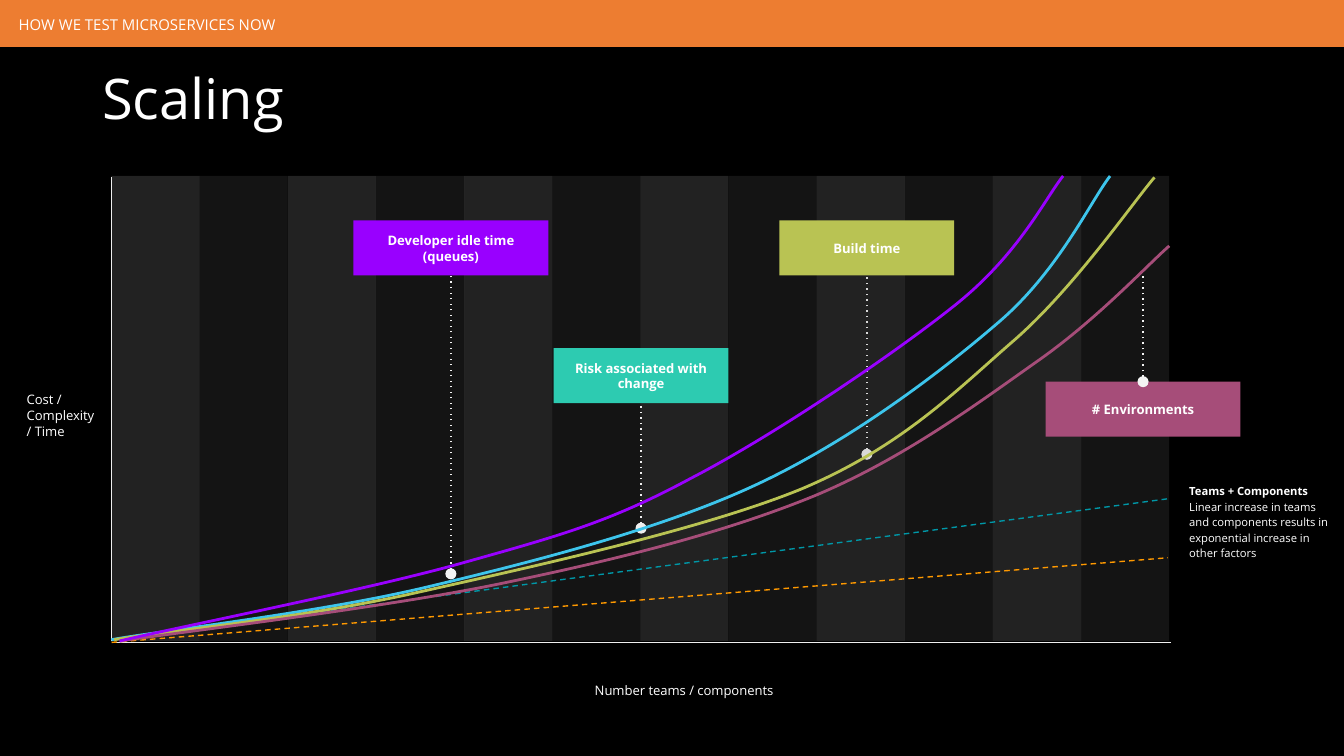
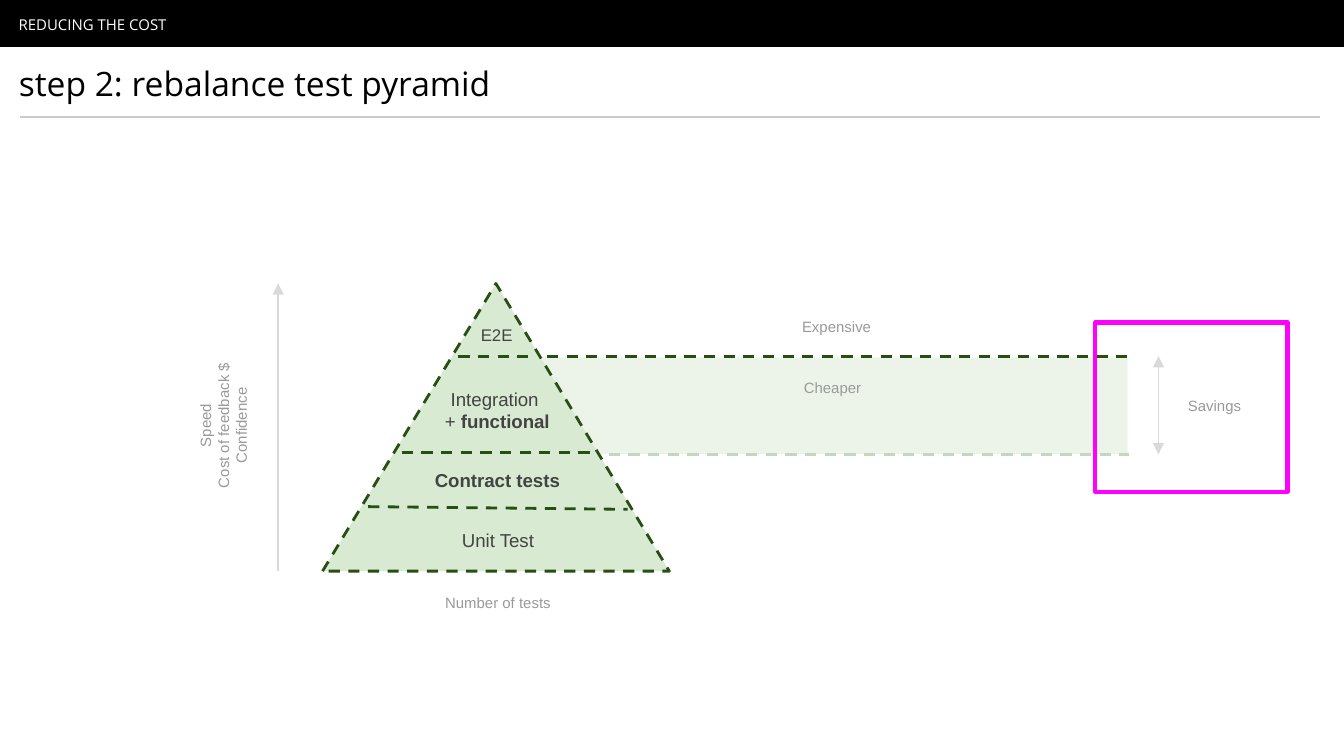
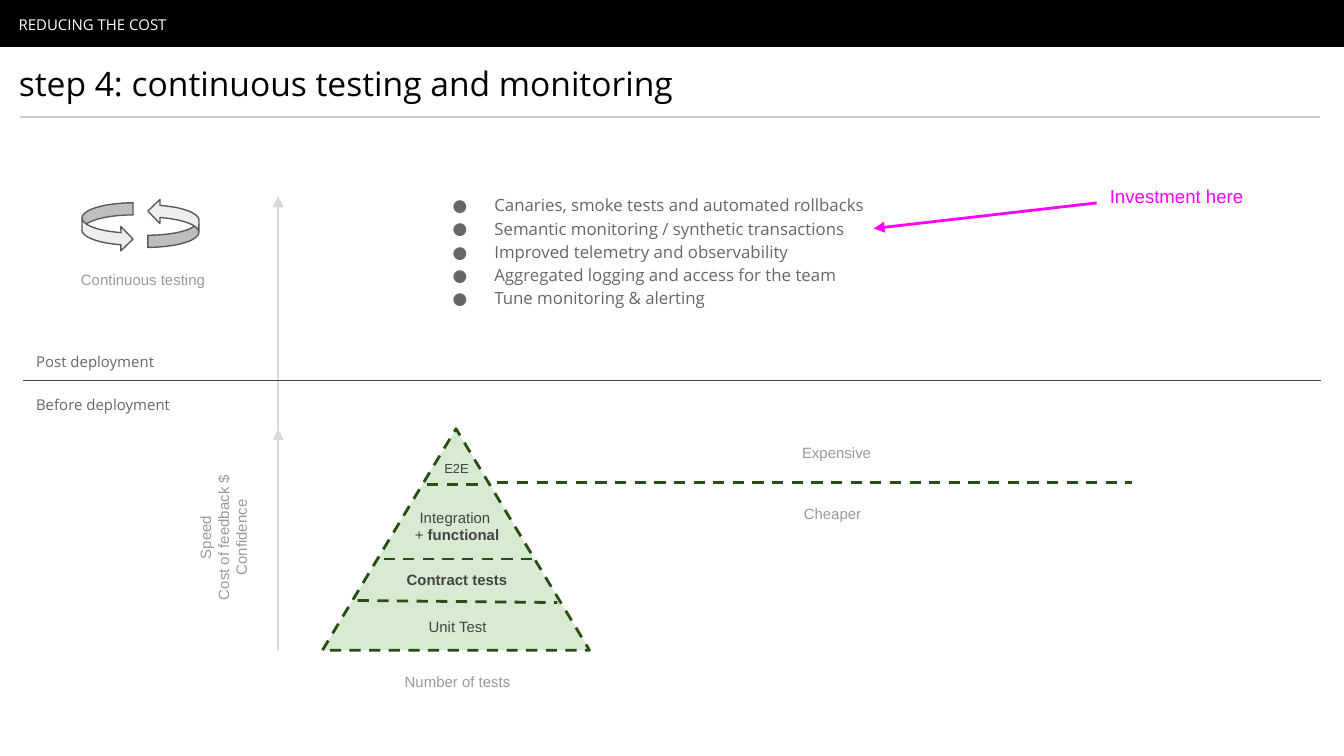
from dataclasses import dataclass
from typing import Optional

from lxml.etree import SubElement
from pptx import Presentation
from pptx.dml.color import RGBColor
from pptx.enum.shapes import MSO_CONNECTOR, MSO_SHAPE
from pptx.enum.text import MSO_ANCHOR, MSO_AUTO_SIZE, PP_ALIGN
from pptx.oxml.ns import qn
from pptx.util import Inches, Pt

Place = tuple[float, float, float, float]
Point = tuple[float, float]

BLACK, WHITE, ORANGE = "000000", "FFFFFF", "ED7D31"
PALE, GREEN, INK = "D9EAD3", "274E13", "434343"
GREY, SLATE, SILVER, PINK = "999999", "666666", "D9D9D9", "FF00FF"
LIME, PLUM, TEAL, PURPLE = "B9C353", "A64D79", "2DCBB1", "9900FF"
SANS, ARIAL = "Open Sans", "Arial"
MIDDLE, TOP = MSO_ANCHOR.MIDDLE, MSO_ANCHOR.TOP
LEFT, CENTER = PP_ALIGN.LEFT, PP_ALIGN.CENTER


@dataclass
class Callout:
    text: str
    at: Place
    fill: str
    side: int
    far: float
    line: str


@dataclass
class Curve:
    color: str
    points: list[Point]


@dataclass
class Layer:
    text: str
    at: Place
    drop: int = 0


CALLOUTS = [
    Callout("*Developer idle time (queues)*", (2.63, 1.64, 1.45, 0.41), PURPLE, 2, 4.27, "F3F3F3"),
    Callout("*Risk associated with change*", (4.12, 2.59, 1.3, 0.41), TEAL, 2, 3.93, "EFEFEF"),
    Callout("*Build time*", (5.8, 1.64, 1.3, 0.41), LIME, 2, 3.38, SILVER),
    Callout("*# Environments*", (7.78, 2.84, 1.45, 0.41), PLUM, 0, 2, "F3F3F3"),
]
CURVES = [
    Curve("3DC5EC", [
        (0.83, 4.76), (1.22, 4.69), (2.37, 4.56), (3.17, 4.37), (3.97, 4.18),
        (4.91, 3.94), (5.62, 3.61), (6.33, 3.28), (7, 2.77), (7.44, 2.39),
        (7.88, 2.01), (8.12, 1.49), (8.26, 1.31)]),
    Curve(LIME, [
        (0.85, 4.76), (1.21, 4.7), (2.16, 4.61), (3.01, 4.43), (3.86, 4.24),
        (5.2, 3.95), (5.96, 3.64), (6.72, 3.32), (7.12, 2.9), (7.56, 2.52),
        (8, 2.13), (8.42, 1.52), (8.59, 1.32)]),
    Curve(PLUM, [
        (0.89, 4.77), (1.37, 4.7), (2.88, 4.52), (3.74, 4.34), (4.61, 4.16),
        (5.4, 3.96), (6.06, 3.69), (6.73, 3.41), (7.29, 2.99), (7.73, 2.68),
        (8.17, 2.37), (8.54, 1.97), (8.7, 1.83)]),
    Curve(PURPLE, [
        (0.89, 4.77), (1.31, 4.67), (2.73, 4.39), (3.44, 4.19), (4.15, 3.99),
        (4.53, 3.89), (5.14, 3.56), (5.76, 3.24), (6.66, 2.63), (7.12, 2.26),
        (7.59, 1.88), (7.78, 1.47), (7.91, 1.31)]),
]
LAYERS = [
    Layer("Unit Test", (0, 1.68, 2.61, 0.46)),
    Layer("*Contract tests*", (0.26, 1.25, 2.08, 0.42)),
    Layer("Integration \n+ *functional*", (0.55, 0.63, 1.5, 0.62)),
    Layer("E2E", (0.74, 0.15, 1.11, 0.46), drop=1),
]
CUTS = [(0.34, 1.66, 2.27, 1.68), (0.59, 1.26, 2.02, 1.26), (1.01, 0.54, 1.57, 0.54)]


def paint(target, color: str, alpha: Optional[int] = None) -> None:
    target.solid()
    target.fore_color.rgb = RGBColor.from_string(color)
    if alpha is not None:
        tint = target._xPr.find(qn("a:solidFill"))[0]
        SubElement(tint, qn("a:alpha"), val=str(alpha * 1000))


def stroke(shape, color: str, width: float = 0.75, dash: str = "",
           head: str = "", tail: str = "") -> None:
    paint(shape.line.fill, color)
    shape.line.width = Pt(width)
    ln = shape.line._get_or_add_ln()
    if dash:
        SubElement(ln, qn("a:prstDash"), val=dash)
    for tag, kind in (("a:headEnd", head), ("a:tailEnd", tail)):
        if kind:
            SubElement(ln, qn(tag), type=kind)


def block(slide, at: Place, fill: str = "", alpha: Optional[int] = None,
          kind=MSO_SHAPE.RECTANGLE):
    shape = slide.shapes.add_shape(kind, *map(Inches, at))
    shape.shadow.inherit = False
    shape.line.fill.background()
    if fill:
        paint(shape.fill, fill, alpha)
    else:
        shape.fill.background()
    return shape


def line(slide, start: Point, end: Point, color: str, **style):
    link = slide.shapes.add_connector(MSO_CONNECTOR.STRAIGHT, *map(Inches, start + end))
    stroke(link, color, **style)
    SubElement(link.element.spPr, qn("a:effectLst"))
    return link


def write(shape, text: str, *, size: float, color: str = WHITE, font: str = SANS,
          align=LEFT, anchor=MIDDLE, pad: float = 0.1, space: float = 1,
          bullet: str = "") -> None:
    frame = shape.text_frame
    frame.word_wrap = True
    frame.auto_size = MSO_AUTO_SIZE.NONE
    frame.vertical_anchor = anchor
    frame.margin_left = frame.margin_right = Inches(0.1)
    frame.margin_top = frame.margin_bottom = Inches(pad)
    for row, words in enumerate(text.split("\n")):
        para = frame.add_paragraph() if row else frame.paragraphs[0]
        if bullet:
            props = para._p.get_or_add_pPr()
            props.set("marL", str(Inches(0.5)))
            props.set("indent", str(Inches(-0.31)))
            SubElement(SubElement(props, qn("a:buClr")), qn("a:srgbClr"), val=color)
            SubElement(props, qn("a:buFont"), typeface=font)
            SubElement(props, qn("a:buChar"), char=bullet)
        para.alignment = align
        para.line_spacing = space
        para.space_before = Pt(0)
        for order, part in enumerate(words.split("*")):
            if part:
                run = para.add_run()
                run.text = part
                run.font.name = font
                run.font.size = Pt(size)
                run.font.bold = order % 2 == 1
                run.font.color.rgb = RGBColor.from_string(color)


def label(slide, text: str, at: Place, **style):
    shape = slide.shapes.add_textbox(*map(Inches, at))
    write(shape, text, **style)
    return shape


def note(slide, text: str, at: Place, align=CENTER):
    return label(slide, text, at, size=8, color=GREY, font=ARIAL, align=align)


def start(deck, band: str, head: str, title: str, at: Place, size: float, back: str, ink: str):
    slide = deck.slides.add_slide(deck.slide_layouts[5])
    paint(slide.background.fill, back)
    block(slide, (0, 0, 10, 0.35), band)
    label(slide, head, (0.04, 0.03, 8.83, 0.28), size=8, space=1.15)
    name = slide.shapes.title
    name.left, name.top, name.width, name.height = map(Inches, at)
    write(name, title, size=size, color=ink, anchor=TOP)
    return slide


def step(deck, title: str):
    slide = start(deck, BLACK, "REDUCING THE COST", title, (0.04, 0.37, 8.73, 0.52), 18, WHITE, BLACK)
    line(slide, (0.15, 0.87), (9.82, 0.87), "CCCCCC")
    return slide


def curve(slide, item: Curve) -> None:
    first, *rest = [(Inches(x), Inches(y)) for x, y in item.points]
    pen = slide.shapes.build_freeform(*first)
    pen.add_line_segments(rest, close=False)
    shape = pen.convert_to_shape()
    shape.shadow.inherit = False
    shape.fill.background()
    stroke(shape, item.color, 1.5)
    route = shape.element.xpath(".//a:path")[0]
    legs = route.findall(qn("a:lnTo"))
    for i in range(0, len(legs), 3):
        bend = SubElement(route, qn("a:cubicBezTo"))
        for leg in legs[i:i + 3]:
            bend.append(leg[0])
            route.remove(leg)


def callout(slide, item: Callout) -> None:
    box = block(slide, item.at, item.fill)
    write(box, item.text, size=7, align=CENTER)
    left, top, width, height = item.at
    mid = left + width / 2
    edge = top + height if item.side == 2 else top
    near, far = (mid, edge), (mid, item.far)
    if item.side == 2:
        link = line(slide, far, near, item.line, dash="dot", head="oval")
        link.end_connect(box, item.side)
    else:
        link = line(slide, near, far, item.line, dash="dot", head="oval")
        link.begin_connect(box, item.side)


def pyramid(slide, top: float, scale: float, size: int, bar: float, edge: float) -> None:
    left, width, height = 2.4, 2.58 * scale, 2.14 * scale
    base = top + height
    shape = block(slide, (left, top, width, height), PALE, kind=MSO_SHAPE.ISOSCELES_TRIANGLE)
    stroke(shape, GREEN, 1.5, "dash")
    for item in LAYERS:
        x, y, w, h = (scale * n for n in item.at)
        label(slide, item.text, (left + x, top + y, w, h), size=size - item.drop,
              color=INK, font=ARIAL, align=CENTER, pad=0.05)
    for cut in CUTS:
        x, y, far, low = (scale * n for n in cut)
        line(slide, (left + x, top + y), (left + far, top + low), GREEN, width=1.5, dash="dash")
    line(slide, (edge, bar), (8.42, bar), GREEN, width=1.5, dash="dash")
    note(slide, "Cheaper", (5.21, bar + 0.09, 1.97, 0.28))
    note(slide, "Expensive", (5.24, bar - 0.36, 1.97, 0.28))
    note(slide, "Number of tests", (left, base + 0.09, 2.61 * scale, 0.28))
    line(slide, (2.07, base), (2.07, top), SILVER, tail="triangle")
    gauge = note(slide, "Speed\nCost of feedback $\nConfidence",
                 (1.66 - height / 2, top + height / 2 - 0.3, height, 0.57))
    gauge.rotation = 270


def scaling(deck) -> None:
    slide = start(deck, ORANGE, "HOW WE TEST MICROSERVICES NOW", "Scaling",
                  (0.66, 0.37, 4.33, 0.61), 30, BLACK, WHITE)
    pitch = 7.87 / 12
    for i in range(12):
        block(slide, (0.83 + i * pitch, 1.31, pitch, 3.46), "CCCCCC", 10 if i % 2 else 17)
    line(slide, (0.83, 1.32), (0.83, 4.77), "EFEFEF")
    line(slide, (0.83, 4.78), (8.71, 4.78), "EFEFEF")
    label(slide, "Cost / Complexity / Time", (0.1, 2.71, 0.75, 0.76), size=7)
    label(slide, "Number teams / components", (4.19, 4.98, 1.8, 0.29), size=7, align=CENTER, anchor=TOP)
    for item in CALLOUTS:
        callout(slide, item)
    line(slide, (0.83, 4.78), (8.69, 4.15), "FF9900", dash="dash")
    line(slide, (0.83, 4.76), (8.7, 3.71), "0097A7", dash="dash")
    for item in CURVES:
        curve(slide, item)
    label(slide, "*Teams + Components*\nLinear increase in teams and components results in "
          "exponential increase in other factors", (8.75, 3.5, 1.25, 0.76), size=6, space=1.15)


def balance(deck) -> None:
    slide = step(deck, "step 2: rebalance test pyramid")
    block(slide, (3.97, 2.66, 4.42, 0.72), PALE, 48)
    pyramid(slide, 2.11, 1, 10, 2.65, 4.07)
    line(slide, (4.53, 3.38), (8.4, 3.38), "C4D6BB", width=1.5, dash="dash")
    line(slide, (8.62, 3.38), (8.62, 2.65), SILVER, head="triangle", tail="triangle")
    note(slide, "Savings", (8.74, 2.88, 1.11, 0.28), LEFT)
    stroke(block(slide, (8.15, 2.4, 1.43, 1.26)), PINK, 2.25)


def monitor(deck) -> None:
    slide = step(deck, "step 4: continuous testing and monitoring")
    line(slide, (2.07, 4.84), (2.07, 1.46), SILVER, tail="triangle")
    pyramid(slide, 3.19, 0.77, 8, 3.59, 3.7)
    line(slide, (0.17, 2.83), (9.83, 2.83), INK)
    for left, top, turn in ((0.61, 1.51, 0), (1.1, 1.48, 180)):
        arrow = block(slide, (left, top, 0.38, 0.36), "EEEEEE", kind=MSO_SHAPE.CURVED_RIGHT_ARROW)
        stroke(arrow, "595959")
        arrow.rotation = turn
    label(slide, "Canaries, smoke tests and automated rollbacks\n"
          "Semantic monitoring / synthetic transactions\n"
          "Improved telemetry and observability\n"
          "Aggregated logging and access for the team\n"
          "Tune monitoring & alerting", (3.08, 1.33, 5.29, 1.54),
          size=9, color=SLATE, anchor=TOP, space=1.15, bullet="●")
    for text, top in (("Post deployment", 2.52), ("Before deployment", 2.84)):
        label(slide, text, (0.17, top, 2.15, 0.28), size=8, color=SLATE, anchor=TOP)
    note(slide, "Continuous testing", (0.08, 1.94, 1.97, 0.28))
    line(slide, (8.16, 1.51), (6.5, 1.7), PINK, width=1.5, tail="triangle")
    label(slide, "Investment here", (8.16, 1.32, 1.67, 0.28), size=10, color=PINK, font=ARIAL)


def main() -> None:
    deck = Presentation()
    deck.slide_width = Inches(10)
    deck.slide_height = deck.slide_width * 9 // 16
    scaling(deck)
    balance(deck)
    monitor(deck)
    deck.save("out.pptx")


if __name__ == "__main__":
    main()
